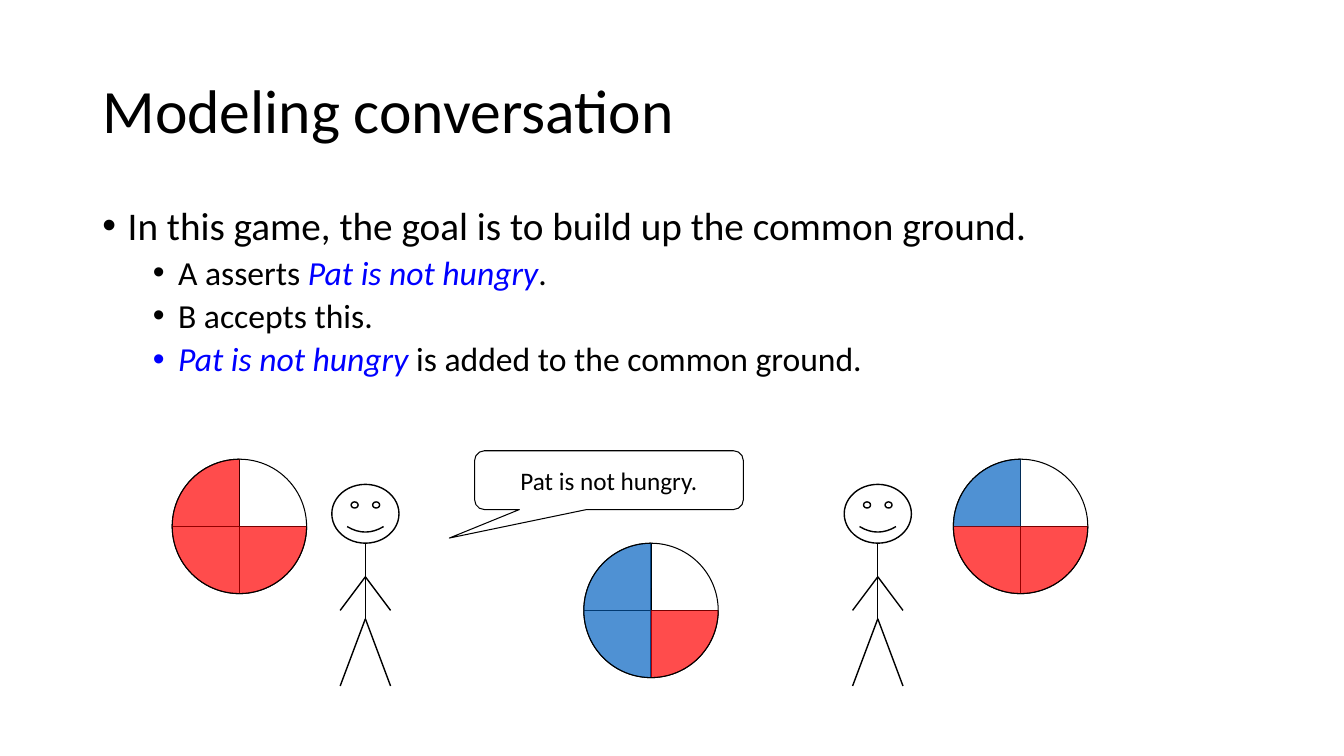
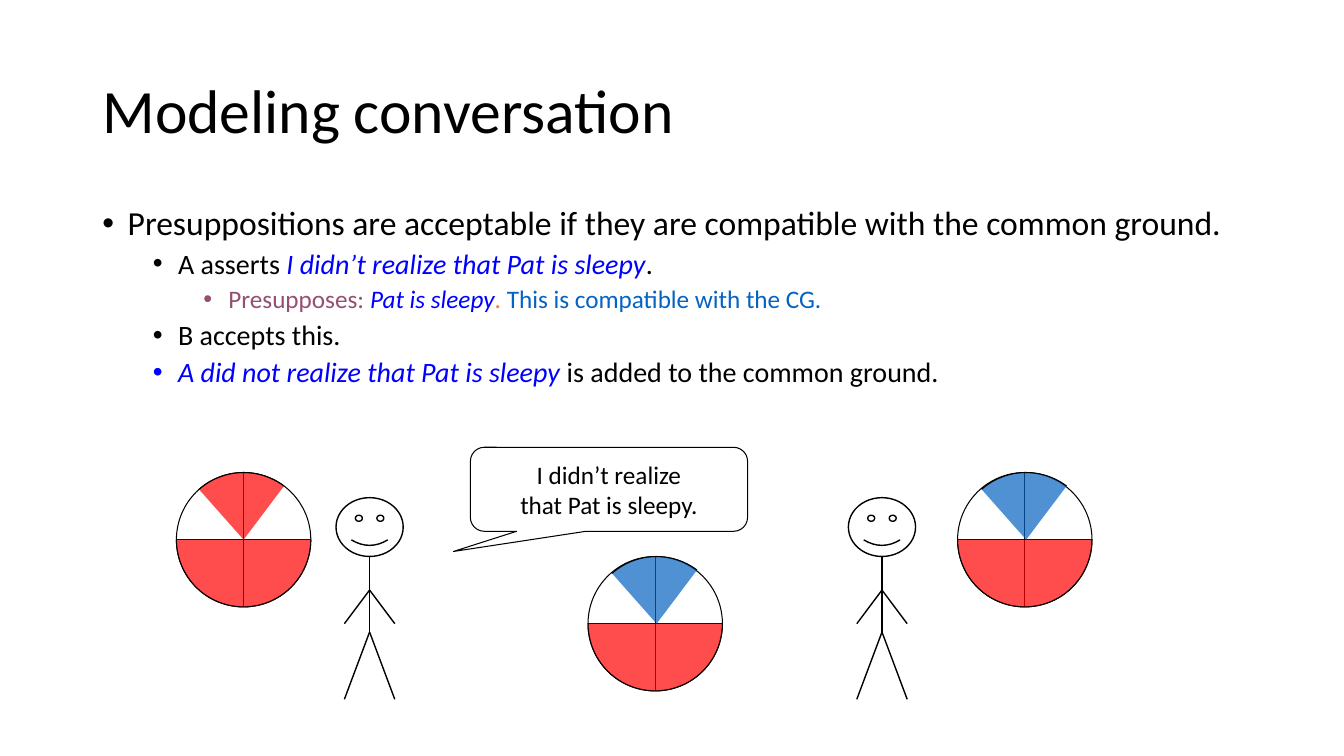
import pptx
import pptx.util
from lxml import etree
from pptx.dml.color import RGBColor
from pptx.enum.shapes import MSO_CONNECTOR, MSO_SHAPE
from pptx.enum.text import MSO_ANCHOR, MSO_AUTO_SIZE, PP_ALIGN
from pptx.oxml.ns import qn

Pt = pptx.util.Pt

FONT = "Calibri"
COLORS = {
    "black": "000000", "quote": "0000FF", "red": "FF0000",
    "blue": "0563C1", "plum": "954F72", "orange": "ED7D31",
}

# Sectors as (start, end) in degrees, clockwise from three o'clock.
BOTTOM_RIGHT, BOTTOM_LEFT, TOP_LEFT = (0, 90), (90, 180), (180, 270)
TOP_WEDGE = (228.5, 307)

PIE_SIZE = 96
PIE_SPOTS = {"A": (123, 328), "common": (417, 388), "B": (681, 328)}
FIGURE_SPOTS = [(237, 346), (603, 346)]
HEAD_WIDTH, HEAD_HEIGHT = 48, 42
# Limbs measured from the neck: (x1, y1, x2, y2).
LIMBS = [(0, 0, 0, 54), (0, 54, -18, 102), (0, 54, 18, 102),
         (0, 24, 18, 48), (0, 24, -18, 48)]

SLIDES = [
    {
        "title": "Modeling conversation",
        "sizes": [28, 24],
        "bullets": [
            (0, [("In this game, the goal is to build up the common ground.", "black")]),
            (1, [("A asserts ", "black"), ("Pat is not hungry", "quote"), (".", "black")]),
            (1, [("B accepts this.", "black")]),
            (1, [("Pat is not hungry ", "quote"),
                 ("is added to the common ground.", "black")]),
        ],
        "shift": (0, 0),
        "pies": {
            "A": [(TOP_LEFT, "red"), (BOTTOM_LEFT, "red"), (BOTTOM_RIGHT, "red")],
            "common": [(TOP_LEFT, "blue"), (BOTTOM_LEFT, "blue"), (BOTTOM_RIGHT, "red")],
            "B": [(TOP_LEFT, "blue"), (BOTTOM_LEFT, "red"), (BOTTOM_RIGHT, "red")],
        },
        "speech": "Pat is not hungry.",
        "callout": (339, 322, 192, 42),
        "pointer": (-0.594, 0.985),
    },
    {
        "title": "Modeling conversation",
        "sizes": [24, 20, 18],
        "bullets": [
            (0, [("Presuppositions are acceptable if they are compatible "
                  "with the common ground.", "black")]),
            (1, [("A asserts ", "black"),
                 ("I didn’t realize that Pat is sleepy", "quote"), (".", "black")]),
            (2, [("Presupposes: ", "plum"), ("Pat is sleepy", "quote"),
                 (". ", "orange"), ("This is compatible with the CG.", "blue")]),
            (1, [("B accepts this.", "black")]),
            (1, [("A did not realize that Pat is sleepy ", "quote"),
                 ("is added to the common ground.", "black")]),
        ],
        "shift": (3, 9.5),
        "pies": {
            "A": [(BOTTOM_LEFT, "red"), (BOTTOM_RIGHT, "red"), (TOP_WEDGE, "red")],
            "common": [(BOTTOM_LEFT, "red"), (BOTTOM_RIGHT, "red"), (TOP_WEDGE, "blue")],
            "B": [(BOTTOM_LEFT, "red"), (BOTTOM_RIGHT, "red"), (TOP_WEDGE, "blue")],
        },
        "speech": "I didn’t realize\nthat Pat is sleepy.",
        "callout": (336, 319.5, 198, 60),
        "pointer": (-0.561, 0.74),
    },
]


def rgb(name):
    return RGBColor.from_string(COLORS[name])


def add_text(para, text, *, size, color="black", italic=False):
    """Append text to a paragraph, with a line break for each newline."""
    for index, line in enumerate(text.split("\n")):
        if index:
            para.add_line_break()
        span = para.add_run()
        span.text = line
        span.font.name = FONT
        span.font.size = Pt(size)
        span.font.italic = italic
        span.font.color.rgb = rgb(color)


def place(shape, left, top, width, height):
    shape.left, shape.top = Pt(left), Pt(top)
    shape.width, shape.height = Pt(width), Pt(height)


def add_outline(shapes, kind, box, weight):
    """Add an unfilled preset shape with a black line."""
    shape = shapes.add_shape(kind, *map(Pt, box))
    shape.shadow.inherit = False
    shape.fill.background()
    shape.line.color.rgb = rgb("black")
    shape.line.width = Pt(weight)
    return shape


def add_line(shapes, ends, weight):
    line = shapes.add_connector(MSO_CONNECTOR.STRAIGHT, *map(Pt, ends))
    line.line.color.rgb = rgb("black")
    line.line.width = Pt(weight)
    etree.SubElement(line.element.spPr, qn("a:effectLst"))


def add_figure(page, left, top):
    shapes = page.shapes.add_group_shape().shapes
    add_outline(shapes, MSO_SHAPE.SMILEY_FACE, (left, top, HEAD_WIDTH, HEAD_HEIGHT), 1)
    x, y = left + HEAD_WIDTH / 2, top + HEAD_HEIGHT
    for x1, y1, x2, y2 in LIMBS:
        add_line(shapes, (x + x1, y + y1, x + x2, y + y2), 1)


def add_pie(page, left, top, sectors):
    """Draw a quartered circle and tint its sectors."""
    shapes = page.shapes.add_group_shape().shapes
    radius = PIE_SIZE / 2
    x, y = left + radius, top + radius
    add_outline(shapes, MSO_SHAPE.OVAL, (left, top, PIE_SIZE, PIE_SIZE), 0.75)
    add_line(shapes, (x, top, x, top + PIE_SIZE), 0.75)
    add_line(shapes, (left, y, left + PIE_SIZE, y), 0.75)
    for angles, color in sectors:
        nudge = 1 if angles == TOP_WEDGE and color == "blue" else 0
        sector = add_outline(page.shapes, MSO_SHAPE.ARC,
                             (left + nudge, top, PIE_SIZE, PIE_SIZE), 0.75)
        for index, angle in enumerate(angles):
            sector.adjustments[index] = angle * 0.6
        sector.fill.solid()
        sector.fill.fore_color.rgb = rgb(color)
        tint = sector.element.spPr.find(qn("a:solidFill"))[0]
        etree.SubElement(tint, qn("a:alpha"), val="70000")


def add_callout(page, box, pointer, speech):
    callout = add_outline(page.shapes, MSO_SHAPE.ROUNDED_RECTANGULAR_CALLOUT, box, 0.75)
    callout.adjustments[0], callout.adjustments[1] = pointer
    frame = callout.text_frame
    frame.word_wrap = False
    frame.vertical_anchor = MSO_ANCHOR.MIDDLE
    para = frame.paragraphs[0]
    para.alignment = PP_ALIGN.CENTER
    add_text(para, speech, size=18)


def fill_title(title, text):
    title.text_frame.vertical_anchor = MSO_ANCHOR.MIDDLE
    para = title.text_frame.paragraphs[0]
    para.alignment = PP_ALIGN.LEFT
    para.line_spacing = 0.9
    add_text(para, text, size=44)


def fill_bullets(body, bullets, sizes):
    frame = body.text_frame
    frame.auto_size = MSO_AUTO_SIZE.NONE
    for index, (level, spans) in enumerate(bullets):
        para = frame.add_paragraph() if index else frame.paragraphs[0]
        para.level = level
        properties = para._p.get_or_add_pPr()
        properties.set("marL", str(Pt(18 + 36 * level)))
        properties.set("indent", str(Pt(-18)))
        etree.SubElement(properties, qn("a:buFont"), typeface="Arial")
        etree.SubElement(properties, qn("a:buChar"), char="•")
        para.line_spacing = 0.9
        para.space_before = Pt(5 if index else 0)
        for text, color in spans:
            add_text(para, text, size=sizes[level], color=color, italic=color == "quote")


def main():
    deck = pptx.Presentation()
    deck.slide_width, deck.slide_height = Pt(960), Pt(540)
    layout = deck.slide_layouts[1]
    place(layout.placeholders[0], 66, 28.75, 828, 104.4)
    place(layout.placeholders[1], 66, 144, 828, 165)

    for content in SLIDES:
        page = deck.slides.add_slide(layout)
        fill_title(page.shapes.title, content["title"])
        fill_bullets(page.placeholders[1], content["bullets"], content["sizes"])
        right, down = content["shift"]
        for left, top in FIGURE_SPOTS:
            add_figure(page, left + right, top + down)
        for owner, sectors in content["pies"].items():
            left, top = PIE_SPOTS[owner]
            add_pie(page, left + right, top + down, sectors)
        add_callout(page, content["callout"], content["pointer"], content["speech"])

    deck.save("out.pptx")


if __name__ == "__main__":
    main()
